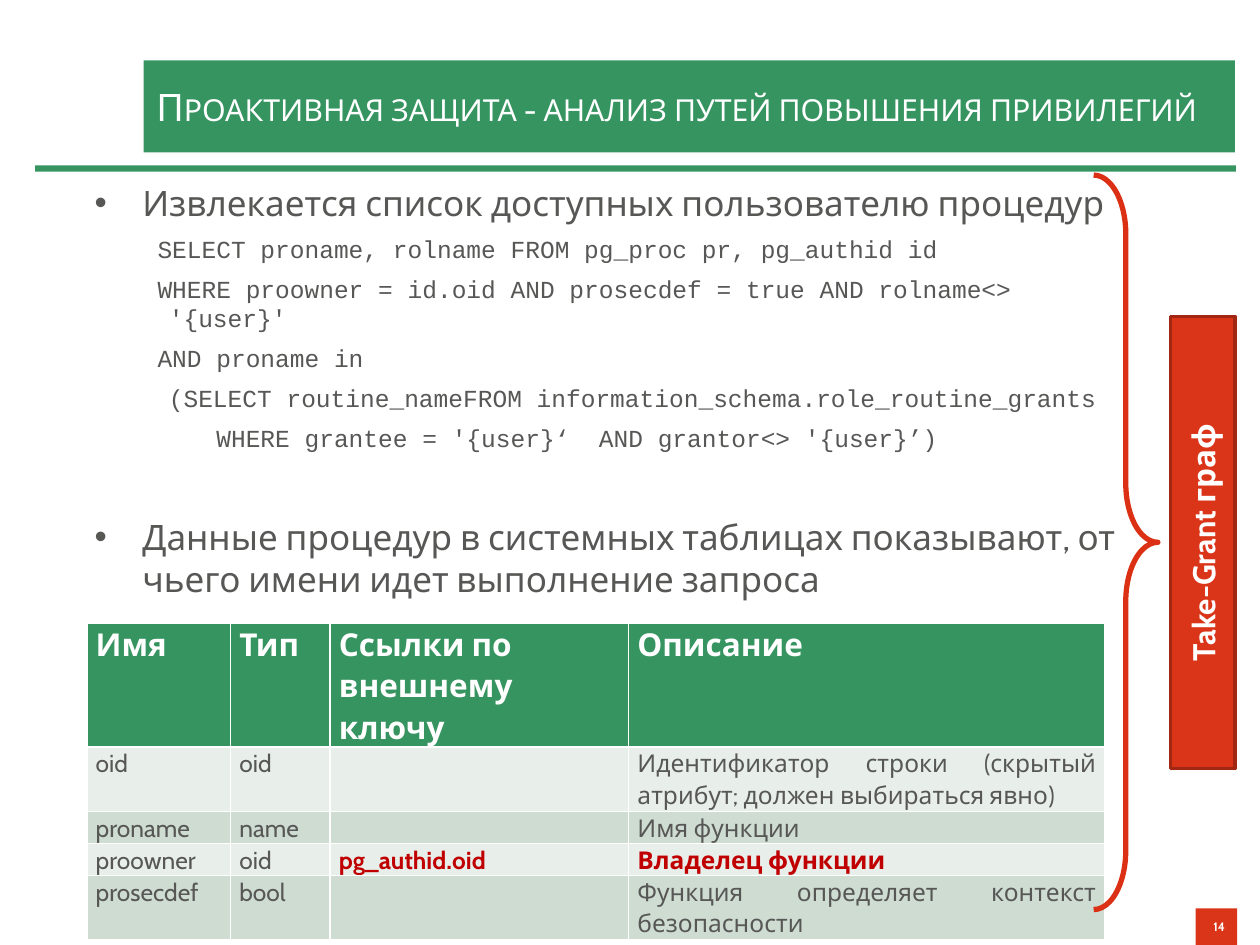
from lxml.etree import SubElement
from pptx import Presentation
from pptx.dml.color import RGBColor
from pptx.enum.shapes import MSO_SHAPE
from pptx.enum.text import MSO_ANCHOR, MSO_AUTO_SIZE, PP_ALIGN
from pptx.oxml.ns import qn
from pptx.util import Inches, Pt

GREEN = RGBColor(0x36, 0x94, 0x61)
RED = RGBColor(0xDB, 0x35, 0x19)
BRICK = RGBColor(0xA2, 0x27, 0x12)
FLAME = RGBColor(0xDB, 0x30, 0x14)
WINE = RGBColor(0xC0, 0x00, 0x00)
GREY = RGBColor(0x57, 0x57, 0x56)
WHITE = RGBColor(0xFF, 0xFF, 0xFF)
PALE = RGBColor(0xE8, 0xEE, 0xEA)
MINT = RGBColor(0xCE, 0xDC, 0xD2)

WIDE, HIGH = Inches(10), Inches(7.5)
HEAD = {"name": "Cabin", "size": Pt(18), "bold": True}
LEAD = {"name": "Cabin", "size": Pt(20)}
CODE = {"name": "Courier New", "size": Pt(14)}
CELL = {"name": "Cabin", "size": Pt(14), "bold": False}

LIST = [
    ("lead", "Извлекается список доступных пользователю процедур"),
    ("code", "SELECT proname, rolname FROM pg_proc pr, pg_authid id"),
    ("code", "WHERE proowner = id.oid AND prosecdef = true AND rolname<> '{user}'"),
    ("code", "AND proname in"),
    ("flush", "(SELECT routine_nameFROM information_schema.role_routine_grants"),
    ("code", "    WHERE grantee = '{user}‘  AND grantor<> '{user}’)"),
    ("lead", "Данные процедур в системных таблицах показывают, "
             "от чьего имени идет выполнение запроса"),
]
STYLES = {
    "lead": (LEAD, 0.38, -0.38),
    "code": (CODE, 0.59, -0.09),
    "flush": (CODE, 0.59, 0),
}
ROWS = [
    ("Имя", "Тип", "Ссылки по внешнему ключу", "Описание"),
    ("oid", "oid", "", "Идентификатор строки (скрытый атрибут; должен выбираться явно)"),
    ("proname", "name", "", "Имя функции"),
    ("proowner", "oid", "pg_authid.oid", "Владелец функции"),
    ("prosecdef", "bool", "", "Функция определяет контекст безопасности"),
]
MARKED = {"pg_authid.oid", "Владелец функции"}
COLS = (1.14, 0.79, 2.37, 3.78)
TALL = (0.98, 0.51, 0.25, 0.25, 0.51)


def area(left, top, width, height):
    return (int(WIDE * left / 100), int(HIGH * top / 100),
            int(WIDE * width / 100), int(HIGH * height / 100))


def place(shape, box):
    shape.left, shape.top, shape.width, shape.height = box


def style(font, form, color):
    for key, value in form.items():
        setattr(font, key, value)
    font.color.rgb = color


def write(para, text, form, color):
    run = para.add_run()
    run.text = text
    style(run.font, form, color)
    return run


def block(slide, box, fill, kind=MSO_SHAPE.RECTANGLE, line=None, weight=0):
    shape = slide.shapes.add_shape(kind, *box)
    shape.shadow.inherit = False
    if fill is None:
        shape.fill.background()
    else:
        shape.fill.solid()
        shape.fill.fore_color.rgb = fill
    if line is None:
        shape.line.fill.background()
    else:
        shape.line.color.rgb = line
        shape.line.width = Pt(weight)
    return shape


def label(shape, text, form, align):
    shape.text_frame.vertical_anchor = MSO_ANCHOR.MIDDLE
    para = shape.text_frame.paragraphs[0]
    para.alignment = align
    write(para, text, form, WHITE)


def banner(slide, box):
    title = slide.shapes.title
    place(title, box)
    title.fill.solid()
    title.fill.fore_color.rgb = GREEN
    frame = title.text_frame
    frame.auto_size = MSO_AUTO_SIZE.NONE
    frame.word_wrap = True
    frame.vertical_anchor = MSO_ANCHOR.MIDDLE
    frame.margin_top = frame.margin_bottom = Inches(0.12)
    para = frame.paragraphs[0]
    para.alignment = PP_ALIGN.LEFT
    run = write(para, "Проактивная защита - анализ путей повышения привилегий",
                {"name": "Cabin", "size": Pt(21.6)}, WHITE)
    run.font._element.set("cap", "small")


def listing(slide, box):
    body = slide.placeholders[1]
    place(body, box)
    frame = body.text_frame
    frame.auto_size = MSO_AUTO_SIZE.NONE
    frame.word_wrap = True
    for spot, (kind, text) in enumerate(LIST):
        para = frame.add_paragraph() if spot else frame.paragraphs[0]
        form, left, hang = STYLES[kind]
        props = para._p.get_or_add_pPr()
        props.set("marL", str(Inches(left)))
        props.set("indent", str(Inches(hang)))
        if kind == "lead":
            SubElement(props, qn("a:buFont")).set("typeface", "Arial")
            SubElement(props, qn("a:buChar")).set("char", "•")
            para.space_before = Pt(36 if spot else 0)
        else:
            SubElement(props, qn("a:buNone"))
            para.space_before = Pt(6)
        write(para, text, form, GREY)


def border(cell):
    props = cell._tc.get_or_add_tcPr()
    for spot, side in enumerate(("lnL", "lnR", "lnT", "lnB")):
        line = SubElement(props, qn("a:" + side), w=str(Pt(1)))
        fill = SubElement(line, qn("a:solidFill"))
        SubElement(fill, qn("a:srgbClr")).set("val", str(WHITE))
        props.insert(spot, line)


def fields(slide, box):
    table = slide.shapes.add_table(len(ROWS), len(COLS), *box).table
    for col, width in zip(table.columns, COLS):
        col.width = Inches(width)
    for row, height in zip(table.rows, TALL):
        row.height = Inches(height)
    for i, row in enumerate(ROWS):
        for j, text in enumerate(row):
            cell = table.cell(i, j)
            cell.margin_left = cell.margin_right = Inches(0.07)
            cell.margin_top = cell.margin_bottom = 0
            cell.fill.solid()
            cell.fill.fore_color.rgb = (PALE if i % 2 else MINT) if i else GREEN
            border(cell)
            para = cell.text_frame.paragraphs[0]
            para.line_spacing = 1.07
            para.alignment = PP_ALIGN.JUSTIFY if i else PP_ALIGN.LEFT
            mark = text in MARKED
            if text:
                form = {**CELL, "bold": mark} if i else HEAD
                color = (WINE if mark else GREY) if i else WHITE
                write(para, text, form, color)
            else:
                SubElement(para._p, qn("a:endParaRPr")).set("sz", "1400")


def graph(slide, brace, tag):
    curve = block(slide, brace, None, MSO_SHAPE.RIGHT_BRACE, FLAME, 3)
    curve.adjustments[0] = 0.92
    curve.adjustments[1] = 0.5
    plate = block(slide, tag, RED, line=BRICK, weight=2)
    plate.rotation = 270
    label(plate, "Take-Grant граф", HEAD, PP_ALIGN.CENTER)


def main():
    deck = Presentation()
    deck.slide_width, deck.slide_height = WIDE, HIGH
    slide = deck.slides.add_slide(deck.slide_layouts[1])
    block(slide, area(2.8, 17.5, 95.3, 0.67), GREEN)
    banner(slide, area(11.4, 6.4, 86.6, 9.73))
    page = block(slide, area(94.9, 96.13, 3.3, 3.87), RED)
    label(page, "14", {**HEAD, "size": Pt(7)}, PP_ALIGN.RIGHT)
    listing(slide, area(6.5, 18.53, 84.1, 45.2))
    fields(slide, area(6.9, 66, 80.8, 33.2))
    graph(slide, area(86.8, 18.53, 5.1, 77.73), area(77.5, 54, 35.9, 6.8))
    deck.save("out.pptx")


if __name__ == "__main__":
    main()
